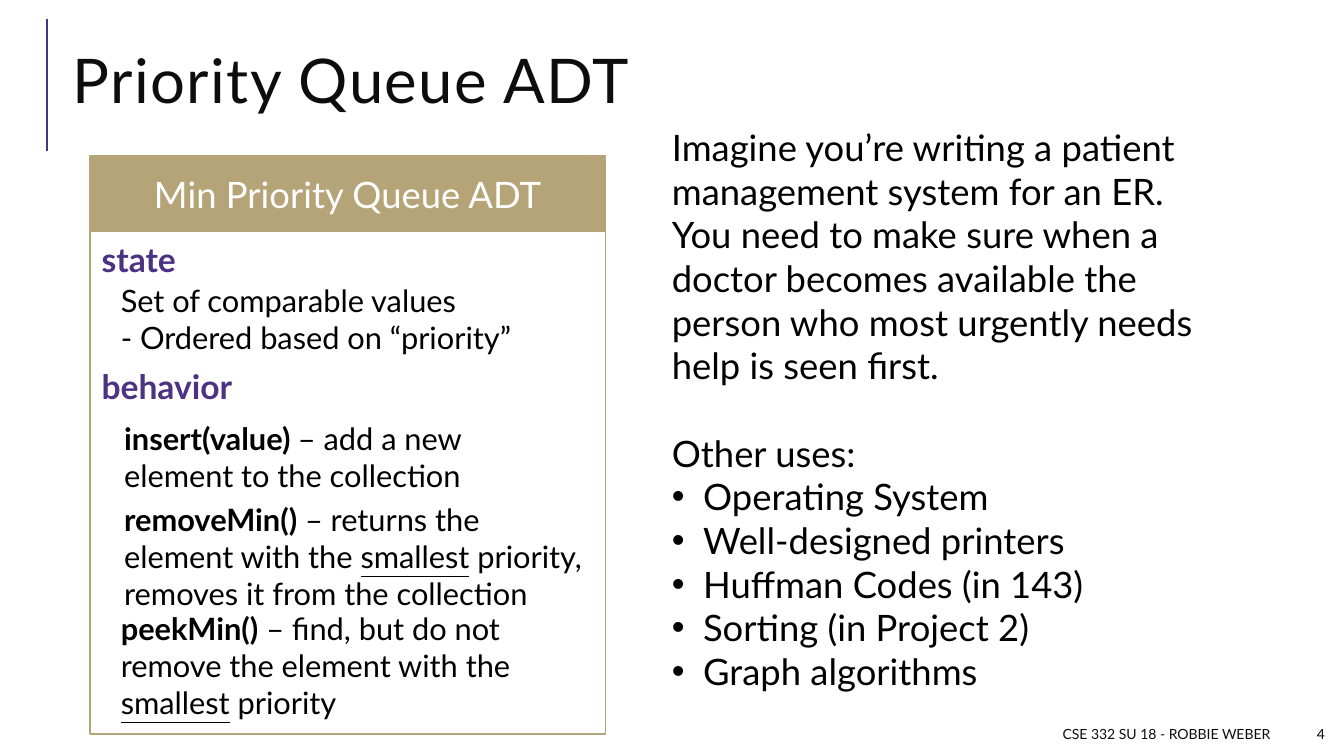
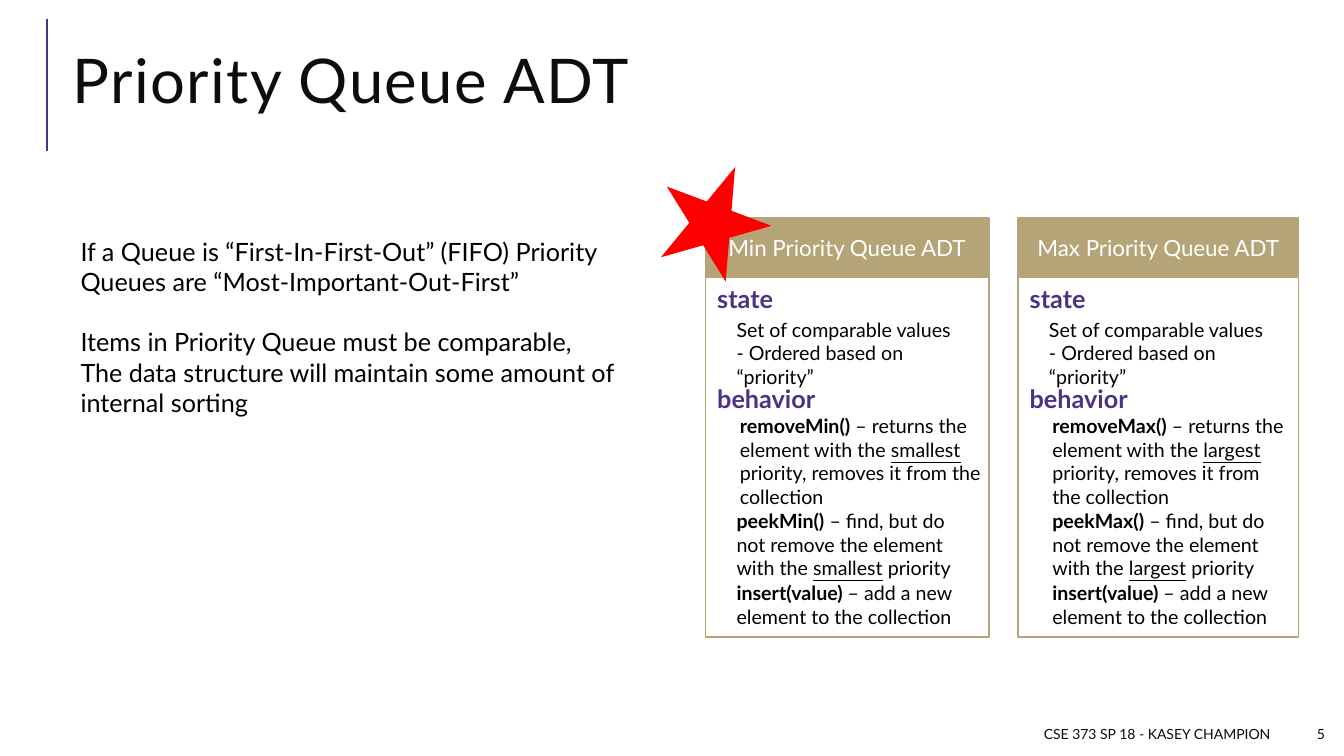
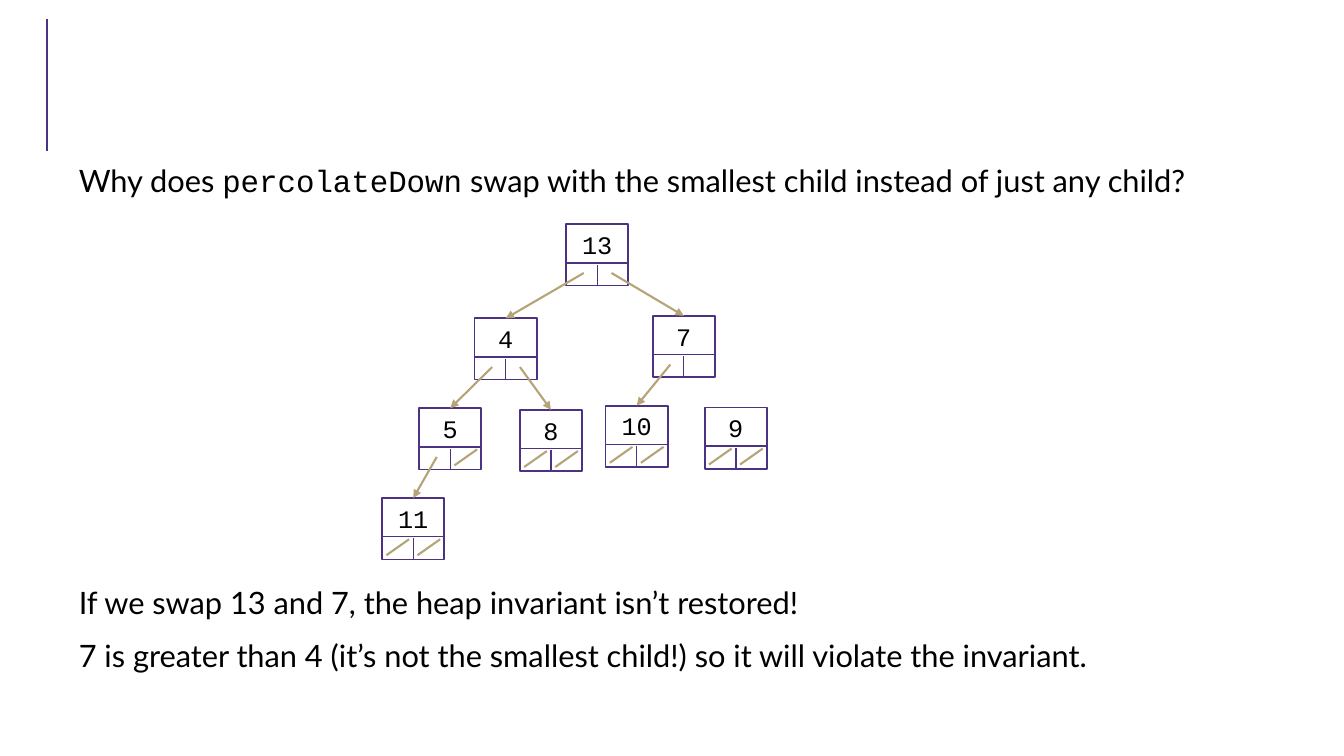
"""Build three slides on the priority queue ADT and heap percolation."""
from lxml.etree import SubElement
from pptx import Presentation
from pptx.dml.color import RGBColor
from pptx.enum.shapes import MSO_CONNECTOR, MSO_SHAPE
from pptx.enum.text import MSO_ANCHOR, PP_ALIGN
from pptx.oxml.ns import qn
from pptx.util import Inches, Pt

COLUMNS, ROWS = 160, 90
PURPLE, GOLD, RED = "4C3282", "B6A479", "FF0000"
BLACK, INK, WHITE = "000000", "0D0D0D", "FFFFFF"
SANS, MONO = "Lato", "Courier New"
BOLD, UNDERLINE = {"bold": True}, {"underline": True}
NODE_WIDTH, NODE_HEIGHT = 7.4, 7.3


def colour(code):
    """Turn a hex string into a colour."""
    return RGBColor.from_string(code)


def assign(target, values):
    """Set each named attribute on the target."""
    for name, value in values.items():
        setattr(target, name, value)


def entry(call, before, word="", after=""):
    """Describe an operation with a bold call and an underlined word."""
    return [[(call, BOLD), (before, {}), (word, UNDERLINE), (after, {})]]


class Board:
    """Hold the deck style and draw on the current slide."""

    def __init__(self):
        """Start a wide deck measured in grid cells."""
        self.deck = Presentation()
        self.deck.slide_width, self.deck.slide_height = Inches(13.33), Inches(7.5)
        self.page = None

    def across(self, columns):
        """Convert columns to a length."""
        return round(self.deck.slide_width * columns / COLUMNS)

    def down(self, rows):
        """Convert rows to a length."""
        return round(self.deck.slide_height * rows / ROWS)

    def place(self, left, top, width, height):
        """Convert a grid rectangle to lengths."""
        return self.across(left), self.down(top), self.across(width), self.down(height)

    def new_page(self, title="", footer="", number=""):
        """Add a slide with the side rule, title and footer."""
        self.page = self.deck.slides.add_slide(self.deck.slide_layouts[6])
        self.line((5.6, 18), (5.6, 2.3), PURPLE, 1.5)
        if title:
            box = self.text((7.5, 3.5, 146.8, 13.3), [title], 44, INK,
                            anchor=MSO_ANCHOR.MIDDLE, line_spacing=0.8)
            for span in box.text_frame.paragraphs[0].runs:
                span.font._element.set("spc", "100")
        for left, width, words in ((75, 77.4, footer), (153.4, 5.5, number)):
            if words:
                self.text((left, 85.6, width, 3.6), [words], 10, INK,
                          anchor=MSO_ANCHOR.MIDDLE, alignment=PP_ALIGN.RIGHT)

    def label(self, box, lines, size, code=BLACK, face=SANS, anchor=MSO_ANCHOR.TOP, **layout):
        """Fill a box with paragraphs of plain or formatted spans."""
        frame = box.text_frame
        assign(frame, {"word_wrap": True, "vertical_anchor": anchor})
        for index, line in enumerate(lines):
            para = frame.add_paragraph() if index else frame.paragraphs[0]
            assign(para, layout)
            if not index:
                para.space_before = Pt(0)
            for words, style in [(line, {})] if isinstance(line, str) else line:
                if words:
                    span = para.add_run()
                    span.text = words
                    assign(span.font, {"name": face, "size": Pt(size), **style})
                    span.font.color.rgb = colour(code)
        return box

    def text(self, at, lines, size, code=BLACK, **options):
        """Add a wrapped text box."""
        box = self.page.shapes.add_textbox(*self.place(*at))
        return self.label(box, lines, size, code, **options)

    def bullet(self, para):
        """Give a paragraph a round bullet and a hanging indent."""
        properties = para._p.get_or_add_pPr()
        for name, value in {"marL": Inches(0.31), "indent": -Inches(0.31)}.items():
            properties.set(name, str(value))
        SubElement(properties, qn("a:buFont")).set("typeface", "Arial")
        SubElement(properties, qn("a:buChar")).set("char", "•")

    def shape(self, at, fill=None, outline=None, preset=MSO_SHAPE.RECTANGLE):
        """Add a flat preset shape."""
        box = self.page.shapes.add_shape(preset, *self.place(*at))
        box.shadow.inherit = False
        for part, code in ((box.fill, fill), (box.line.fill, outline)):
            if code:
                part.solid()
                part.fore_color.rgb = colour(code)
            else:
                part.background()
        if outline:
            box.line.width = Pt(1.25)
        return box

    def line(self, start, end, code, width, target=None):
        """Draw a line, or an arrow joined to the top of a target."""
        link = self.page.shapes.add_connector(
            MSO_CONNECTOR.STRAIGHT, self.across(start[0]), self.down(start[1]),
            self.across(end[0]), self.down(end[1]))
        link.line.color.rgb = colour(code)
        link.line.width = Pt(width)
        if target is not None:
            link.end_connect(target, 0)
            SubElement(link.line._get_or_add_ln(), qn("a:tailEnd")).set("type", "triangle")
        SubElement(link._element.spPr, qn("a:effectLst"))

    def card(self, title, at, header, sizes, slots, entries):
        """Draw an ADT card whose slots are offsets from its corner."""
        left, top, width, height = at
        title_size, label_size, body_size = sizes
        self.shape((left, top + header, width, height - header), outline=GOLD)
        band = self.shape((left, top, width, header), GOLD, GOLD)
        self.label(band, [title], title_size, WHITE, anchor=MSO_ANCHOR.MIDDLE,
                   alignment=PP_ALIGN.CENTER)
        texts = {"values": ["Set of comparable values", "- Ordered based on “priority”"],
                 "insert": entry("insert(value) ", "– add a new element to the collection"),
                 **entries}
        for name, (shift, drop, span) in slots.items():
            spot = (left + shift, top + drop, span, 6)
            if name in texts:
                self.text(spot, texts[name], body_size)
            else:
                self.text(spot, [[(name, BOLD)]], label_size, PURPLE)

    def node(self, key, left, top, empty):
        """Draw a tree node with two pointer cells, slashing the empty ones."""
        box = self.shape((left, top, NODE_WIDTH, NODE_HEIGHT), outline=PURPLE)
        self.label(box, [key], 18, face=MONO, alignment=PP_ALIGN.CENTER)
        middle = left + NODE_WIDTH / 2
        self.line((left, top + 4.6), (left + NODE_WIDTH, top + 4.6), PURPLE, 1)
        self.line((middle, top + NODE_HEIGHT), (middle, top + 4.8), PURPLE, 1)
        for side in empty:
            edge = left + side * NODE_WIDTH / 2
            self.line((edge + 3.2, top + 4.9), (edge + 0.5, top + 6.8), GOLD, 1.5)
        return box


def operations(kind, extreme):
    """List the operations that differ between min and max queues."""
    return {"remove": entry(f"remove{kind}()", " – returns the element with the ",
                            extreme, " priority, removes it from the collection"),
            "peek": entry(f"peek{kind}()", " – find, but do not remove the element with the ",
                          extreme, " priority")}


def uses_page(board):
    """Show the min queue card beside its uses."""
    board.new_page("Priority Queue ADT", "CSE 332 SU 18 - ROBBIE WEBER", "4")
    slots = {"state": (0.2, 9.2, 26.8), "values": (2.5, 14.4, 55.3),
             "behavior": (0.2, 24.4, 26.8), "insert": (2.9, 30.8, 54.8),
             "remove": (2.9, 40.4, 57.1), "peek": (2.5, 53.4, 57.6)}
    board.card("Min Priority Queue ADT", (10.7, 18.6, 61.4, 68.8), 8.9, (26, 24, 22),
               slots, operations("Min", "smallest"))
    uses = ["Operating System", "Well-designed printers", "Huffman Codes (in 143)",
            "Sorting (in Project 2)", "Graph algorithms"]
    story = ["Imagine you’re writing a patient management system for an ER.",
             "You need to make sure when a doctor becomes available the person who "
             "most urgently needs help is seen first.", "Other uses:"]
    box = board.text((78.8, 14.3, 67.8, 69.5), story + uses, 26)
    paras = box.text_frame.paragraphs
    paras[2].space_before = Pt(31.2)
    for para in paras[len(story):]:
        board.bullet(para)


def compare_page(board):
    """Show the min and max queue cards side by side."""
    board.new_page("Priority Queue ADT", "CSE 373 SP 18 - KASEY CHAMPION", "5")
    slots = {"state": (0.2, 7.2, 26.8), "values": (2.5, 11.2, 30.8),
             "behavior": (0.2, 19, 26.8)}
    minimum = {"remove": (2.9, 22.7, 33.2), "peek": (2.5, 34, 30.5),
               "insert": (2.5, 42.6, 30.2)}
    maximum = {"remove": (2.9, 22.7, 30.5), "peek": (2.9, 34, 30.5),
               "insert": (2.9, 42.6, 30.5)}
    for kind, extreme, left, width, rows in (("Min", "smallest", 84, 33.7, minimum),
                                             ("Max", "largest", 121.2, 33.4, maximum)):
        board.card(f"{kind} Priority Queue ADT", (left, 26, width, 49.8), 7, (16, 18, 14),
                   slots | rows, operations(kind, extreme))
    box = board.text((8.4, 27.5, 69, 30), [
        "If a Queue is “First-In-First-Out” (FIFO) Priority Queues are “Most-Important-Out-First”",
        "Items in Priority Queue must be comparable,",
        "The data structure will maintain some amount of internal sorting"], 18)
    box.text_frame.paragraphs[1].space_before = Pt(21.6)
    star = board.shape((77.3, 19.9, 13.9, 12.6), RED, preset=MSO_SHAPE.STAR_5_POINT)
    star.rotation = 309.4


def heap_page(board):
    """Show why percolateDown picks the smallest child."""
    board.new_page()
    spacing = {"line_spacing": 0.9, "space_before": Pt(12), "space_after": Pt(2)}
    board.text((8.2, 19.2, 146, 6), [[
        ("Why does ", {}), ("percolateDown", {"name": MONO}),
        (" swap with the smallest child instead of just any child?", {})]], 22, **spacing)
    board.text((8.2, 69.4, 146, 13), [
        "If we swap 13 and 7, the heap invariant isn’t restored!",
        "7 is greater than 4 (it’s not the smallest child!) so it will violate the invariant."],
        22, **spacing)
    spots = {"13": (67.4, 26.7, ()), "4": (56.5, 37.9, ()), "7": (77.7, 37.6, ()),
             "5": (49.9, 48.6, (1,)), "8": (61.9, 48.8, (0, 1)), "10": (72.1, 48.3, (0, 1)),
             "9": (83.9, 48.5, (0, 1)), "11": (45.5, 59.3, (0, 1))}
    nodes = {key: board.node(key, *spot) for key, spot in spots.items()}
    links = (("13", "4", 0), ("13", "7", 1), ("4", "5", 0), ("4", "8", 1),
             ("7", "10", 0), ("5", "11", 0))
    for parent, child, side in links:
        left, top, _ = spots[parent]
        child_left, child_top, _ = spots[child]
        board.line((left + 2.1 + 3.3 * side, top + 5.8),
                   (child_left + NODE_WIDTH / 2, child_top), GOLD, 1.5, nodes[child])


def main():
    """Build and save the deck."""
    board = Board()
    for build in (uses_page, compare_page, heap_page):
        build(board)
    board.deck.save("out.pptx")


if __name__ == "__main__":
    main()
